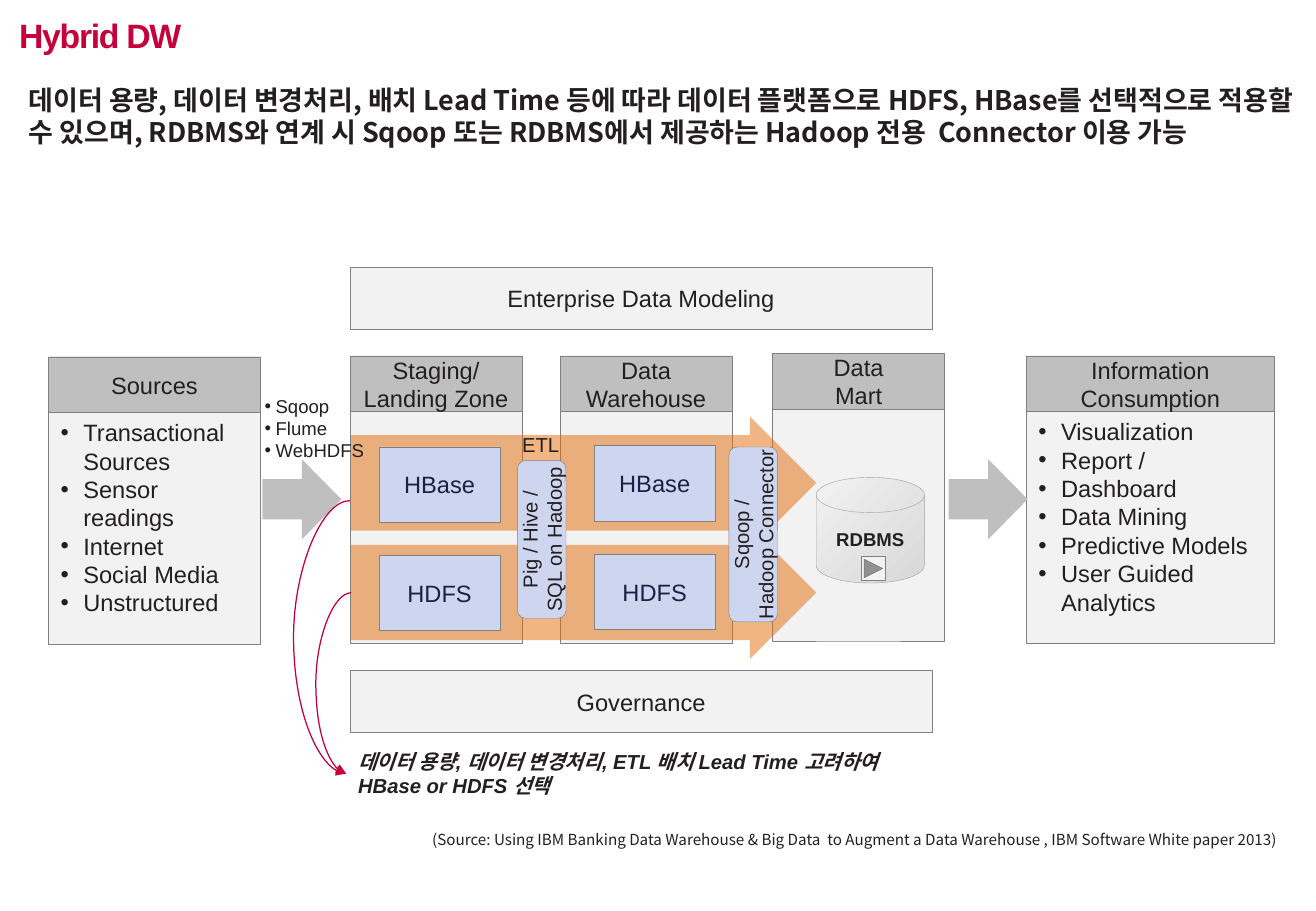
from lxml.etree import SubElement
from pptx import Presentation
from pptx.dml.color import RGBColor
from pptx.enum.dml import MSO_LINE
from pptx.enum.shapes import MSO_CONNECTOR, MSO_SHAPE
from pptx.enum.text import MSO_ANCHOR, PP_ALIGN
from pptx.oxml.ns import qn
from pptx.util import Pt

HUES = {"ink": "231F20", "navy": "172245", "red": "C5003D", "curve": "C1003C",
        "pale": "F2F2F2", "gray": "BFBFBF", "edge": "808080", "rim": "A6A6A6",
        "dark": "D8D8D8", "blue": "CED6EF", "orange": "E46C0A"}
LATIN, KOREAN = "Arial", "Noto Sans CJK KR"

TITLE = "Hybrid DW"
LEAD = ("데이터 용량, 데이터 변경처리, 배치 Lead Time 등에 따라 데이터 플랫폼으로 "
        "HDFS, HBase를 선택적으로 적용할 수 있으며, RDBMS와 연계 시 Sqoop 또는 "
        "RDBMS에서 제공하는 Hadoop 전용  Connector 이용 가능")
NOTE = "데이터 용량, 데이터 변경처리, ETL 배치 Lead Time 고려하여\nHBase or HDFS 선택"
SOURCE = ("(Source: Using IBM Banking Data Warehouse & Big Data  to Augment a "
          "Data Warehouse , IBM Software White paper 2013)")
TOOLS = "Sqoop\nFlume\nWebHDFS"
FEEDS = "Transactional Sources\nSensor readings\nInternet\nSocial Media\nUnstructured"
USES = ("Visualization\nReport /\nDashboard\nData Mining\nPredictive Models\n"
        "User Guided Analytics")
COLUMNS = [("Staging/\nLanding Zone", 207.5, 211, 102, ""),
           ("Data\nWarehouse", 332, 211, 102, ""),
           ("Data\nMart", 458, 209.5, 102, ""),
           ("Sources", 28.8, 211.5, 125.5, FEEDS),
           ("Information\nConsumption", 608.4, 211, 147, USES)]
BANNERS = [("Enterprise Data Modeling", 158.4), ("Governance", 397.5)]
FLOWS = [247, 312]
STEPS = [155.5, 562.3]
STORES = [("HBase", 0), ("HDFS", 64.2)]
STACKS = [(224.6, 264.9), (352.1, 264.2)]
PILLS = [("Pig / Hive /\nSQL on Hadoop", 274.3, 305.3, 93.6),
         ("Sqoop /\nHadoop Connector", 394.6, 302.4, 103.7)]
CURVES = [(207.4, 296.8, 174.2), (208.1, 351.4, 187.2)]
TIP = (205.2, 458.6)


def rgb(hue):
    """Return the named colour."""
    return RGBColor.from_string(HUES[hue])


def bullet(para, gap):
    """Give a paragraph a hanging bullet."""
    props = para._p.get_or_add_pPr()
    props.set("marL", str(Pt(gap)))
    props.set("indent", str(-Pt(gap)))
    SubElement(props, qn("a:buFont")).set("typeface", LATIN)
    SubElement(props, qn("a:buChar")).set("char", "•")


def write(shape, text, size=14, hue="ink", face=LATIN, bold=False, slant=False,
          align=PP_ALIGN.CENTER, anchor=MSO_ANCHOR.MIDDLE, wrap=True, gap=0,
          pad=(7.2, 3.6, 7.2, 3.6)):
    """Fill a shape with formatted text."""
    frame = shape.text_frame
    frame.text = text
    frame.word_wrap = wrap
    frame.vertical_anchor = anchor
    (frame.margin_left, frame.margin_top,
     frame.margin_right, frame.margin_bottom) = map(Pt, pad)
    for para in frame.paragraphs:
        para.alignment = align
        if gap:
            bullet(para, gap)
        for run in para.runs:
            font = run.font
            font.size, font.name = Pt(size), face
            font.bold, font.italic = bold, slant
            font.color.rgb = rgb(hue)
            SubElement(font._element, qn("a:ea")).set("typeface", KOREAN)


def draw(slide, kind, box, fill, edge="edge", width=0.25):
    """Add a filled preset shape."""
    shape = slide.shapes.add_shape(kind, *map(Pt, box))
    shape.shadow.inherit = False
    shape.fill.solid()
    shape.fill.fore_color.rgb = rgb(fill)
    if edge:
        shape.line.color.rgb = rgb(edge)
        shape.line.width = Pt(width)
    else:
        shape.line.fill.background()
    return shape


def label(slide, box, text, size, **look):
    """Add a left-aligned text box."""
    shape = slide.shapes.add_textbox(*map(Pt, box))
    look = {"anchor": MSO_ANCHOR.TOP, **look}
    write(shape, text, size, align=PP_ALIGN.LEFT, **look)
    return shape


def column(slide, head, left, top, width, items):
    """Add a headed column with optional bullets."""
    body = draw(slide, MSO_SHAPE.RECTANGLE, (left, top + 0.5, width, 170), "pale")
    if items:
        write(body, items, align=PP_ALIGN.LEFT, anchor=MSO_ANCHOR.BOTTOM,
              gap=13.5, pad=(7.2, 0, 7.2, 16.5))
    write(draw(slide, MSO_SHAPE.RECTANGLE, (left, top, width, 33), "gray"), head)


def curve(slide, left, top, bend):
    """Add a curved arrow that bows out to the left."""
    line = slide.shapes.add_connector(
        MSO_CONNECTOR.CURVE, *map(Pt, (left, top, *TIP)))
    line.line.color.rgb = rgb("curve")
    line.line.width = Pt(0.75)
    props = line._element.spPr
    SubElement(props.find(qn("a:ln")), qn("a:tailEnd")).set("type", "triangle")
    SubElement(props, qn("a:effectLst"))
    line.adjustments if hasattr(line, "adjustments") else None
    guide = SubElement(props.find(qn("a:prstGeom")).find(qn("a:avLst")), qn("a:gd"))
    guide.set("name", "adj1")
    guide.set("fmla", f"val {round((left - bend) / (left - TIP[0]) * 100000)}")


def main():
    """Build the hybrid warehouse slide."""
    deck = Presentation()
    deck.slide_width, deck.slide_height = Pt(780), Pt(540)
    slide = deck.slides.add_slide(deck.slide_layouts[6])

    for item in COLUMNS:
        column(slide, *item)
    for text, top in BANNERS:
        banner = draw(slide, MSO_SHAPE.RECTANGLE, (207.5, top, 345, 36.7), "pale")
        banner.line.dash_style = MSO_LINE.ROUND_DOT
        write(banner, text)
    for left in STEPS:
        draw(slide, MSO_SHAPE.RIGHT_ARROW, (left, 272.2, 46.8, 47.5), "gray", None)
    for top in FLOWS:
        flow = draw(slide, MSO_SHAPE.RIGHT_ARROW, (208, top, 275.8, 78.5),
                    "orange", None)
        flow.adjustments[0] = 0.72
        tint = flow._element.spPr.find(qn("a:solidFill"))[0]
        SubElement(tint, qn("a:alpha")).set("val", "50000")
    for left, top in STACKS:
        for name, drop in STORES:
            store = draw(slide, MSO_SHAPE.RECTANGLE,
                         (left, top + drop, 72, 44.6), "blue")
            write(store, name, hue="navy")
    for text, left, top, width in PILLS:
        pill = draw(slide, MSO_SHAPE.ROUNDED_RECTANGLE,
                    (left, top, width, 28.8), "blue")
        pill.rotation = 270
        write(pill, text, 12, pad=(0, 3.6, 0, 3.6))

    disk = draw(slide, MSO_SHAPE.FLOWCHART_MAGNETIC_DISK,
                (483.8, 283, 64.1, 62.6), "pale", "rim")
    disk.fill.gradient()
    disk.fill.gradient_angle = 135
    for stop, hue in zip(disk.fill.gradient_stops, ("dark", "pale")):
        stop.color.rgb = rgb(hue)
    write(disk, "RDBMS", 11, bold=True, pad=(2.9, 3.6, 2.9, 3.6))
    draw(slide, MSO_SHAPE.ACTION_BUTTON_FORWARD_OR_NEXT,
         (510.5, 329.8, 14.4, 14.4), "pale", width=0.5)

    title = label(slide, (4.3, 3.6, 579, 33.8), TITLE, 20, hue="red",
                  bold=True, anchor=MSO_ANCHOR.MIDDLE)
    title.text_frame.paragraphs[0].runs[0].font._element.set("spc", "-80")
    label(slide, (10, 46, 769, 45.4), LEAD, 16, face=KOREAN, bold=True)
    label(slide, (149.8, 230.4, 74.9, 47.5), TOOLS, 11, wrap=False, gap=6.5)
    label(slide, (302.4, 252.7, 36.7, 21.6), "ETL", 12, wrap=False)
    label(slide, (205.2, 440.6, 332, 36), NOTE, 12, bold=True, slant=True)
    label(slide, (249.1, 488.9, 529.2, 28.8), SOURCE, 9, face=KOREAN, wrap=False)
    for item in CURVES:
        curve(slide, *item)
    deck.save("out.pptx")


if __name__ == "__main__":
    main()
